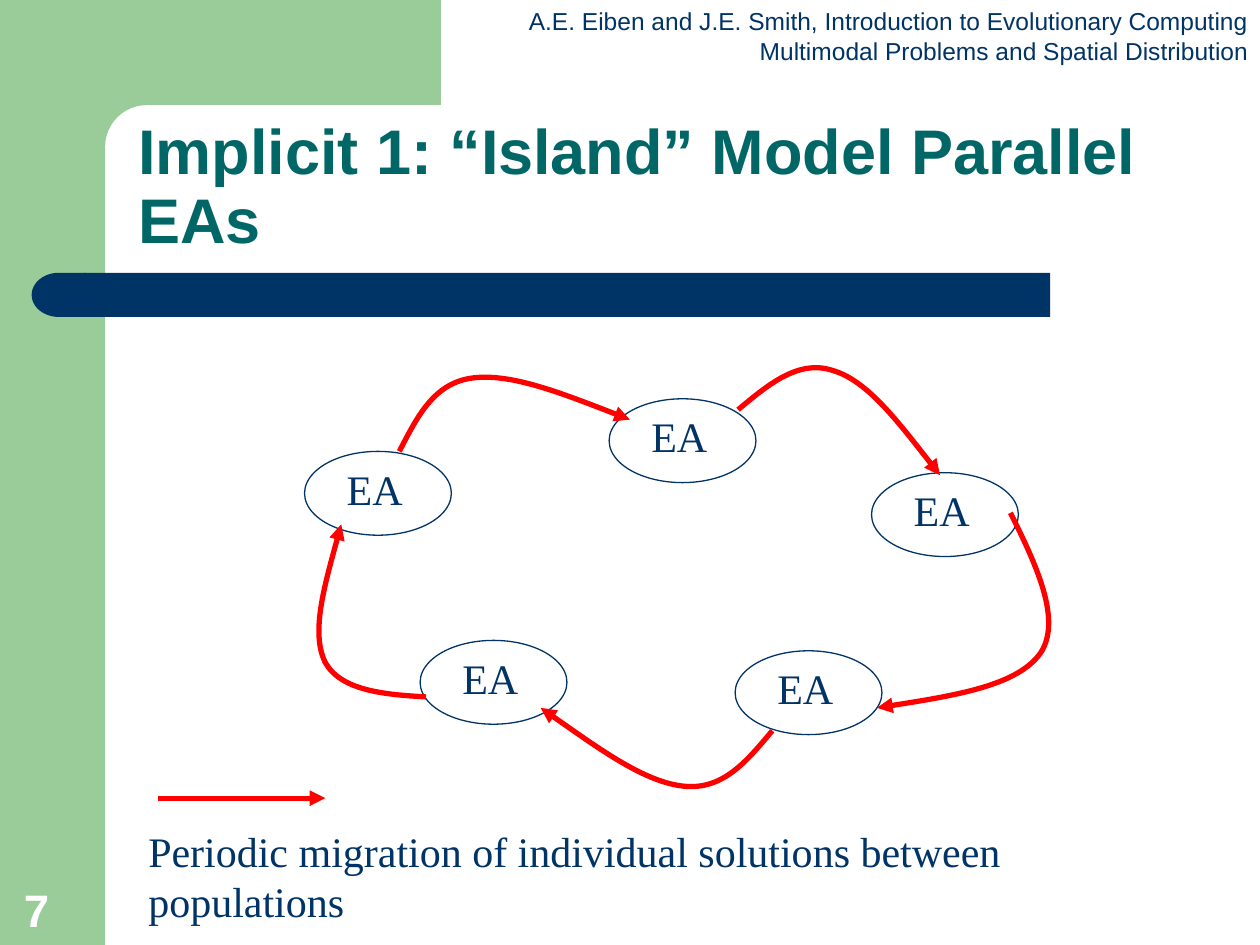
from lxml.etree import SubElement
from pptx import Presentation
from pptx.dml.color import RGBColor
from pptx.enum.shapes import MSO_CONNECTOR, MSO_SHAPE
from pptx.enum.text import MSO_ANCHOR, PP_ALIGN
from pptx.oxml.ns import qn
from pptx.util import Cm, Pt

NAVY, GREEN, TEAL, RED, WHITE = "003366", "99CC99", "006666", "FF0000", "FFFFFF"
SERIF = "Times New Roman"

HEADER = ["A.E. Eiben and J.E. Smith, Introduction to Evolutionary Computing",
          "Multimodal Problems and Spatial Distribution"]
TITLE = "Implicit 1: “Island” Model Parallel EAs"
CAPTION = "Periodic migration of individual solutions between populations"

# All lengths are centimetres.
BACKDROP = [  # preset, left, top, width, height, colour, corner radius
    (MSO_SHAPE.RECTANGLE, 0, 0, 2.12, 19.05, GREEN, None),
    (MSO_SHAPE.RECTANGLE, 1.9, 0, 6.99, 2.96, GREEN, None),
    (MSO_SHAPE.ROUNDED_RECTANGLE, 2.12, 2.12, 14.18, 1.69, WHITE, 0.5),
    (MSO_SHAPE.ROUNDED_RECTANGLE, 1.69, 5.5, 19.48, 0.89, NAVY, 0),
]
BAR_CAP = (MSO_SHAPE.FLOWCHART_DELAY, 0.64, 5.5, 1.09, 0.89, NAVY)

ISLANDS = [(12.28, 8.04), (6.14, 9.1), (8.47, 12.91), (14.82, 13.12), (17.57, 9.53)]
ISLAND_SIZE = (2.96, 1.69)
LABEL_OFFSET = (0.6, 0.11)
LABEL_SIZE = (1.63, 1.27)

MIGRATIONS = [  # start, then two cubic curves of three points each
    [(8.05, 9.1), (8.41, 8.41), (8.74, 7.72), (9.53, 7.62),
     (10.31, 7.52), (11.51, 8), (12.7, 8.46)],
    [(14.88, 8.26), (15.49, 7.75), (16.1, 7.24), (16.79, 7.47),
     (17.48, 7.67), (18.21, 8.64), (18.95, 9.58)],
    [(20.37, 10.34), (20.9, 11.4), (21.41, 12.5), (20.98, 13.16),
     (20.52, 13.82), (19.1, 14.05), (17.68, 14.27)],
    [(8.59, 14.05), (7.72, 14), (6.86, 13.92), (6.55, 13.34),
     (6.27, 12.75), (6.58, 11.66), (6.88, 10.57)],
    [(15.57, 14.73), (15.06, 15.34), (14.58, 15.93), (13.79, 15.85),
     (13, 15.77), (11.96, 15.01), (10.9, 14.27)],
]


def rgb(color):
    return RGBColor.from_string(color)


def add_shape(shapes, preset, x, y, w, h, fill=None, radius=None):
    s = shapes.add_shape(preset, Cm(x), Cm(y), Cm(w), Cm(h))
    s.shadow.inherit = False
    if fill:
        s.fill.solid()
        s.fill.fore_color.rgb = rgb(fill)
        s.line.fill.background()
    else:
        s.fill.background()
        s.line.color.rgb = rgb(NAVY)
        s.line.width = Pt(0.75)
    if radius is not None:
        s.adjustments[0] = radius
    return s


def add_text(shapes, lines, x, y, w, h, size, color=NAVY, font="Arial", bold=False,
             align=PP_ALIGN.LEFT, anchor=MSO_ANCHOR.TOP, wrap=False, spacing=None):
    tf = shapes.add_textbox(Cm(x), Cm(y), Cm(w), Cm(h)).text_frame
    tf.word_wrap = wrap
    tf.vertical_anchor = anchor
    for i, line in enumerate(lines):
        p = tf.paragraphs[0] if i == 0 else tf.add_paragraph()
        p.alignment = align
        p.line_spacing = spacing
        r = p.add_run()
        r.text = line
        r.font.name, r.font.size, r.font.bold = font, Pt(size), bold
        r.font.color.rgb = rgb(color)


def style_arrow(s):
    s.line.color.rgb = rgb(RED)
    s.line.width = Pt(3)
    SubElement(s.line._get_or_add_ln(), qn("a:tailEnd"), type="triangle")


def add_curve(shapes, points):
    """Draw cubic curves by regrouping each three line points into one Bézier."""
    start, *rest = [(Cm(x), Cm(y)) for x, y in points]
    builder = shapes.build_freeform(*start)
    builder.add_line_segments(rest, close=False)
    s = builder.convert_to_shape()
    s.shadow.inherit = False
    s.fill.background()
    path = next(s._element.iter(qn("a:path")))
    segments = path.findall(qn("a:lnTo"))
    for i in range(0, len(segments), 3):
        curve = SubElement(path, qn("a:cubicBezTo"))
        for segment in segments[i:i + 3]:
            curve.append(segment[0])
            path.remove(segment)
    style_arrow(s)


def main():
    prs = Presentation()
    prs.slide_width, prs.slide_height = Cm(25.4), Cm(19.05)
    shapes = prs.slides.add_slide(prs.slide_layouts[6]).shapes

    for part in BACKDROP:
        add_shape(shapes, *part)
    cap = add_shape(shapes, *BAR_CAP)
    cap._element.spPr.xfrm.set("flipH", "1")

    add_text(shapes, HEADER, 10.41, 0, 15.01, 1.45, size=14, align=PP_ALIGN.RIGHT)
    add_text(shapes, [CAPTION], 2.74, 16.51, 21.84, 1.27, size=24, font=SERIF)
    add_text(shapes, [TITLE], 2.54, 2.12, 22.23, 3.18, size=36, color=TEAL, bold=True,
             anchor=MSO_ANCHOR.BOTTOM, wrap=True, spacing=0.9)

    for x, y in ISLANDS:
        island = shapes.add_group_shape().shapes
        add_shape(island, MSO_SHAPE.OVAL, x, y, *ISLAND_SIZE)
        add_text(island, ["EA"], x + LABEL_OFFSET[0], y + LABEL_OFFSET[1], *LABEL_SIZE,
                 size=24, font=SERIF)

    for points in MIGRATIONS:
        add_curve(shapes, points)

    key = shapes.add_connector(MSO_CONNECTOR.STRAIGHT, Cm(3.18), Cm(16.09), Cm(6.56), Cm(16.09))
    style_arrow(key)
    SubElement(key._element.spPr, qn("a:effectLst"))

    add_text(shapes, ["7"], 0.23, 17.63, 1.63, 1.37, size=26, color=WHITE, bold=True,
             anchor=MSO_ANCHOR.BOTTOM, wrap=True)
    prs.save("out.pptx")


if __name__ == "__main__":
    main()
